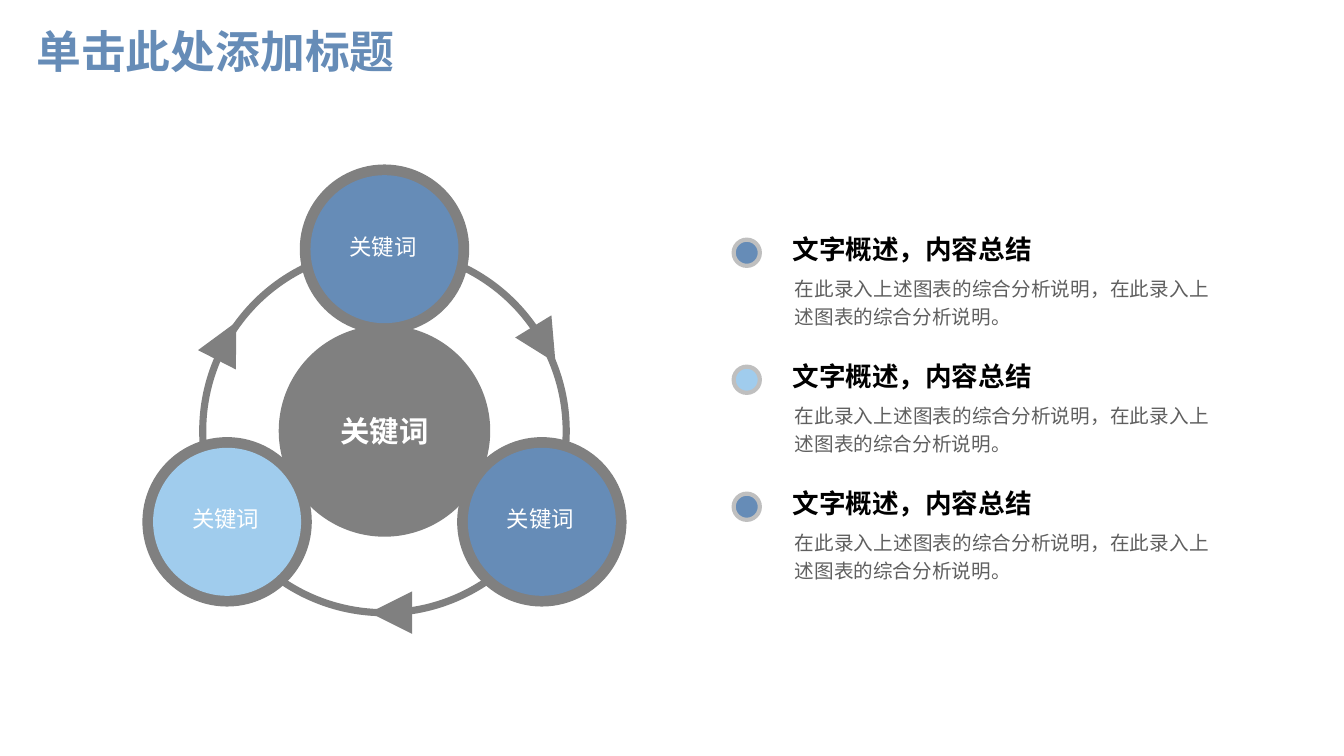
from dataclasses import dataclass
from math import cos, radians, sin

from lxml.etree import SubElement
from pptx import Presentation
from pptx.dml.color import RGBColor
from pptx.enum.shapes import MSO_SHAPE
from pptx.enum.text import MSO_ANCHOR, MSO_AUTO_SIZE, PP_ALIGN
from pptx.oxml.ns import qn
from pptx.util import Cm, Pt


@dataclass(frozen=True)
class Theme:
    blue: str = "668CB7"
    sky: str = "A0CCED"
    gray: str = "808080"
    silver: str = "BFBFBF"
    black: str = "000000"
    body_gray: str = "5F5F5F"
    white: str = "FFFFFF"
    title_font: str = "Montserrat"
    text_font: str = "Noto Sans CJK SC"
    title_size: int = 32
    hub_size: int = 21
    heading_size: int = 19
    node_size: int = 16
    body_size: int = 14


THEME = Theme()

# Angle on the ring in degrees, fill and label of each node
NODES = [
    (-90, THEME.blue, "关键词"),
    (150, THEME.sky, "关键词"),
    (30, THEME.blue, "关键词"),
]
# Angle on the ring and rotation of each arrowhead
ARROWHEADS = [(-28.4, 148.5), (88, 270), (209.7, 27.1)]

BODY = "在此录入上述图表的综合分析说明，在此录入上述图表的综合分析说明。"
ITEMS = [
    (THEME.blue, "文字概述，内容总结", BODY),
    (THEME.sky, "文字概述，内容总结", BODY),
    (THEME.blue, "文字概述，内容总结", BODY),
]


def write(frame, text, size, color, bold=False, align=PP_ALIGN.LEFT,
          spacing=None, font_name=THEME.text_font):
    """Put one formatted paragraph into a text frame."""
    paragraph = frame.paragraphs[0]
    paragraph.alignment = align
    if spacing:
        paragraph.line_spacing = spacing
    run = paragraph.add_run()
    run.text = text
    font = run.font
    font.size, font.bold, font.name = Pt(size), bold, font_name
    font.color.rgb = RGBColor.from_string(color)
    east_asian = SubElement(run._r.get_or_add_rPr(), qn("a:ea"))
    east_asian.set("typeface", THEME.text_font)


def add_text(slide, left, top, width, height, text, **text_format):
    text_box = slide.shapes.add_textbox(Cm(left), Cm(top), Cm(width), Cm(height))
    frame = text_box.text_frame
    frame.word_wrap = True
    frame.auto_size = MSO_AUTO_SIZE.SHAPE_TO_FIT_TEXT
    frame.margin_left = frame.margin_right = Cm(0.34)
    frame.margin_top = frame.margin_bottom = Cm(0.17)
    write(frame, text, **text_format)


def add_centered(slide, kind, x, y, diameter, color, outline=None):
    """Add a shape of equal width and height around the point x, y."""
    shape = slide.shapes.add_shape(
        kind, Cm(x - diameter / 2), Cm(y - diameter / 2), Cm(diameter), Cm(diameter))
    shape.shadow.inherit = False
    shape.fill.solid()
    shape.fill.fore_color.rgb = RGBColor.from_string(color)
    if outline:
        shape.line.color.rgb = RGBColor.from_string(outline)
        shape.line.width = Pt(3)
    else:
        shape.line.fill.background()
    return shape


def add_title(slide, left, top, width, height):
    title = slide.shapes.title
    title.left, title.top, title.width, title.height = map(Cm, (left, top, width, height))
    frame = title.text_frame
    frame.auto_size = MSO_AUTO_SIZE.NONE
    frame.vertical_anchor = MSO_ANCHOR.MIDDLE
    write(frame, "单击此处添加标题", size=THEME.title_size, color=THEME.blue,
          bold=True, spacing=0.9, font_name=THEME.title_font)


def add_cycle(slide, left, top, size):
    """Draw the ring with its hub, arrowheads and nodes in a square box."""
    center_x, center_y = left + size / 2, top + size / 2
    orbit = size / 2 - 0.09

    def on_ring(angle):
        return (center_x + orbit * cos(radians(angle)),
                center_y + orbit * sin(radians(angle)))

    # Hub and ring
    add_centered(slide, MSO_SHAPE.OVAL, center_x, center_y, 5.33, THEME.gray)
    ring = add_centered(slide, MSO_SHAPE.DONUT, center_x, center_y, size, THEME.gray)
    ring.adjustments[0] = 0.18 / size

    # Arrowheads
    for angle, rotation in ARROWHEADS:
        arrowhead = add_centered(slide, MSO_SHAPE.ISOSCELES_TRIANGLE,
                                 *on_ring(angle), 1.07, THEME.gray)
        arrowhead.rotation = rotation

    # Nodes
    for angle, color, label in NODES:
        x, y = on_ring(angle)
        add_centered(slide, MSO_SHAPE.OVAL, x, y, 4.27, THEME.gray)
        add_centered(slide, MSO_SHAPE.OVAL, x, y, 3.73, color)
        add_text(slide, x - 1.87, y - 0.58, 3.66, 1.02, label,
                 size=THEME.node_size, color=THEME.white, align=PP_ALIGN.CENTER)

    # Hub label
    add_text(slide, center_x - 2.55, center_y - 0.63, 5.1, 1.24, "关键词",
             size=THEME.hub_size, color=THEME.white, bold=True, align=PP_ALIGN.CENTER)


def add_summary(slide, left, top, width, pitch):
    """Stack the items, each a marker with a heading and a description."""
    for index, (color, heading, body) in enumerate(ITEMS):
        item_top = top + index * pitch
        add_centered(slide, MSO_SHAPE.OVAL, left + 0.33, item_top + 0.66, 0.66,
                     color, outline=THEME.silver)
        add_text(slide, left + 1.15, item_top, width - 1.32, 1.14, heading,
                 size=THEME.heading_size, color=THEME.black, bold=True)
        add_text(slide, left + 1.2, item_top + 0.97, width - 1.2, 1.78, body,
                 size=THEME.body_size, color=THEME.body_gray,
                 align=PP_ALIGN.JUSTIFY, spacing=1.2)


def main():
    presentation = Presentation()
    presentation.slide_width, presentation.slide_height = Cm(33.87), Cm(19.05)
    slide = presentation.slides.add_slide(presentation.slide_layouts[5])
    add_cycle(slide, left=5.02, top=6.19, size=9.34)
    add_summary(slide, left=18.49, top=5.71, width=12.32, pitch=3.2)
    add_title(slide, left=0.66, top=0.58, width=29.21, height=1.57)
    presentation.save("out.pptx")


if __name__ == "__main__":
    main()
